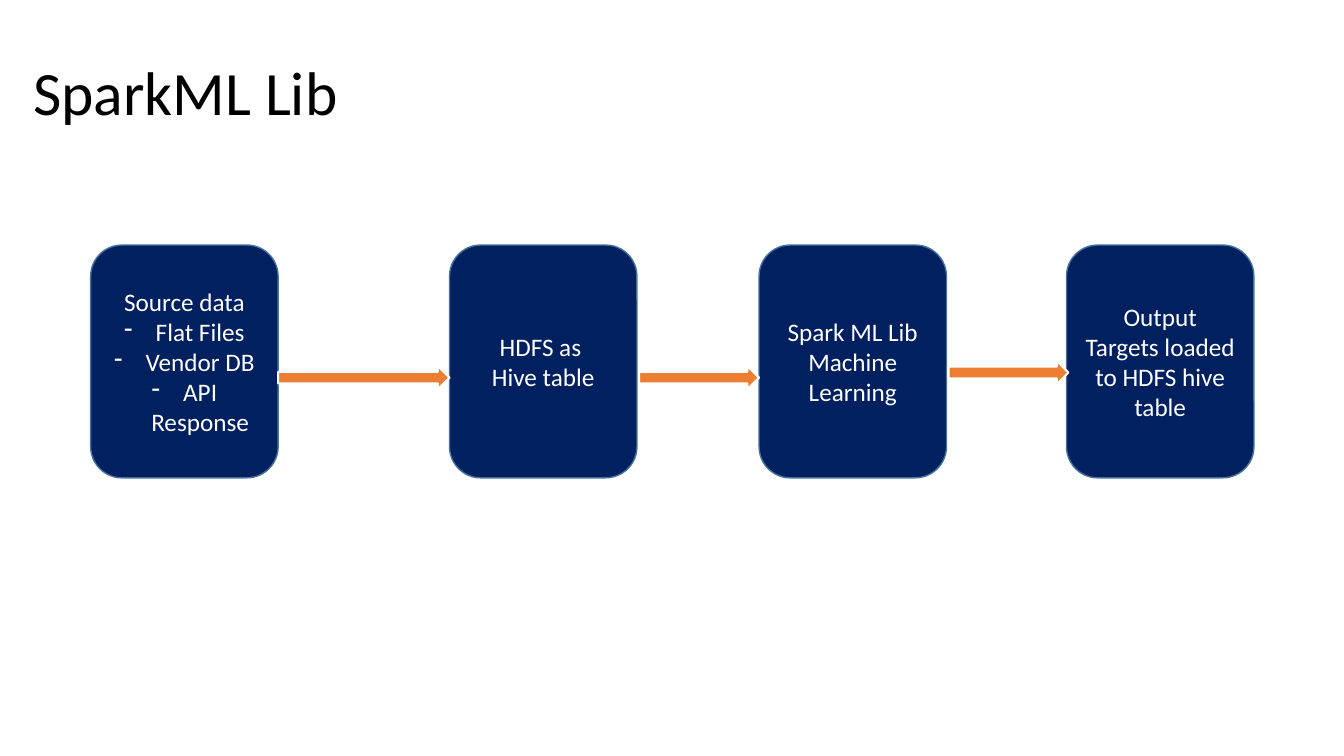
from lxml import etree
from pptx import Presentation
from pptx.dml.color import RGBColor
from pptx.enum.shapes import MSO_SHAPE
from pptx.enum.text import MSO_ANCHOR, PP_ALIGN
from pptx.oxml.ns import qn
from pptx.util import Pt

NAVY = RGBColor(0x00, 0x20, 0x60)
BLUE = RGBColor(0x43, 0x73, 0x9E)
ORANGE = RGBColor(0xED, 0x7D, 0x31)
WHITE = RGBColor(0xFF, 0xFF, 0xFF)
BLACK = RGBColor(0x00, 0x00, 0x00)
ROUND = MSO_SHAPE.ROUNDED_RECTANGLE
ARROW = MSO_SHAPE.RIGHT_ARROW
MIDDLE = MSO_ANCHOR.MIDDLE
CENTER = PP_ALIGN.CENTER
LEFT = PP_ALIGN.LEFT

BOX_TOP, BOX_WIDE, BOX_HIGH = 175, 133.9, 166.3
ARROW_HIGH = 16.6
INDENT = 22.5


class Deck:
    font = "Calibri"

    def __init__(self, wide, high):
        self.show = Presentation()
        self.show.slide_width, self.show.slide_height = Pt(wide), Pt(high)
        self.slide = self.show.slides.add_slide(self.show.slide_layouts[6])

    def apply(self, target, style):
        for name, value in style.items():
            setattr(target, name, value)

    def label(self, shape, lines, size, color, align, space=1.0):
        frame = shape.text_frame
        self.apply(frame, {"word_wrap": True, "vertical_anchor": MIDDLE})
        for index, line in enumerate(lines):
            para = frame.add_paragraph() if index else frame.paragraphs[0]
            self.apply(para, {"alignment": align, "line_spacing": space})
            if line.startswith("- "):
                line = line[2:]
                self.dash(para)
            run = para.add_run()
            run.text = line
            self.apply(run.font, {"name": self.font, "size": Pt(size)})
            run.font.color.rgb = color

    def dash(self, para):
        props = para._p.get_or_add_pPr()
        props.set("marL", str(Pt(INDENT)))
        props.set("indent", str(-Pt(INDENT)))
        etree.SubElement(props, qn("a:buFontTx"))
        etree.SubElement(props, qn("a:buChar")).set("char", "-")

    def title(self, text, left, top, wide, high):
        box = self.slide.shapes.add_textbox(Pt(left), Pt(top), Pt(wide), Pt(high))
        self.label(box, [text], 44, BLACK, LEFT, 0.9)

    def shape(self, kind, left, top, wide, high, fill, line, weight):
        item = self.slide.shapes.add_shape(kind, Pt(left), Pt(top), Pt(wide), Pt(high))
        item.shadow.inherit = False
        item.fill.solid()
        item.fill.fore_color.rgb = fill
        item.line.color.rgb = line
        item.line.width = Pt(weight)
        return item

    def box(self, left, lines):
        item = self.shape(ROUND, left, BOX_TOP, BOX_WIDE, BOX_HIGH, NAVY, BLUE, 1)
        self.label(item, lines, 18, WHITE, CENTER)

    def arrow(self, left, top, wide):
        self.shape(ARROW, left, top, wide, ARROW_HIGH, ORANGE, WHITE, 1.5)


def main():
    deck = Deck(960, 540)
    deck.title("SparkML Lib", 16.6, 15.8, 828, 104.4)
    steps = [
        (64.8, ["Source data", "- Flat Files", "- Vendor DB", "- API Response"]),
        (321.1, ["HDFS as ", "Hive table"]),
        (542.2, ["Spark ML Lib", "Machine Learning"]),
        (761.8, ["Output Targets loaded to HDFS hive table"]),
    ]
    for left, lines in steps:
        deck.box(left, lines)
    for left, top, wide in [(198.7, 261.4, 122.4), (456.5, 261.4, 85.7), (677.5, 257.8, 85.7)]:
        deck.arrow(left, top, wide)
    deck.show.save("out.pptx")


if __name__ == "__main__":
    main()
